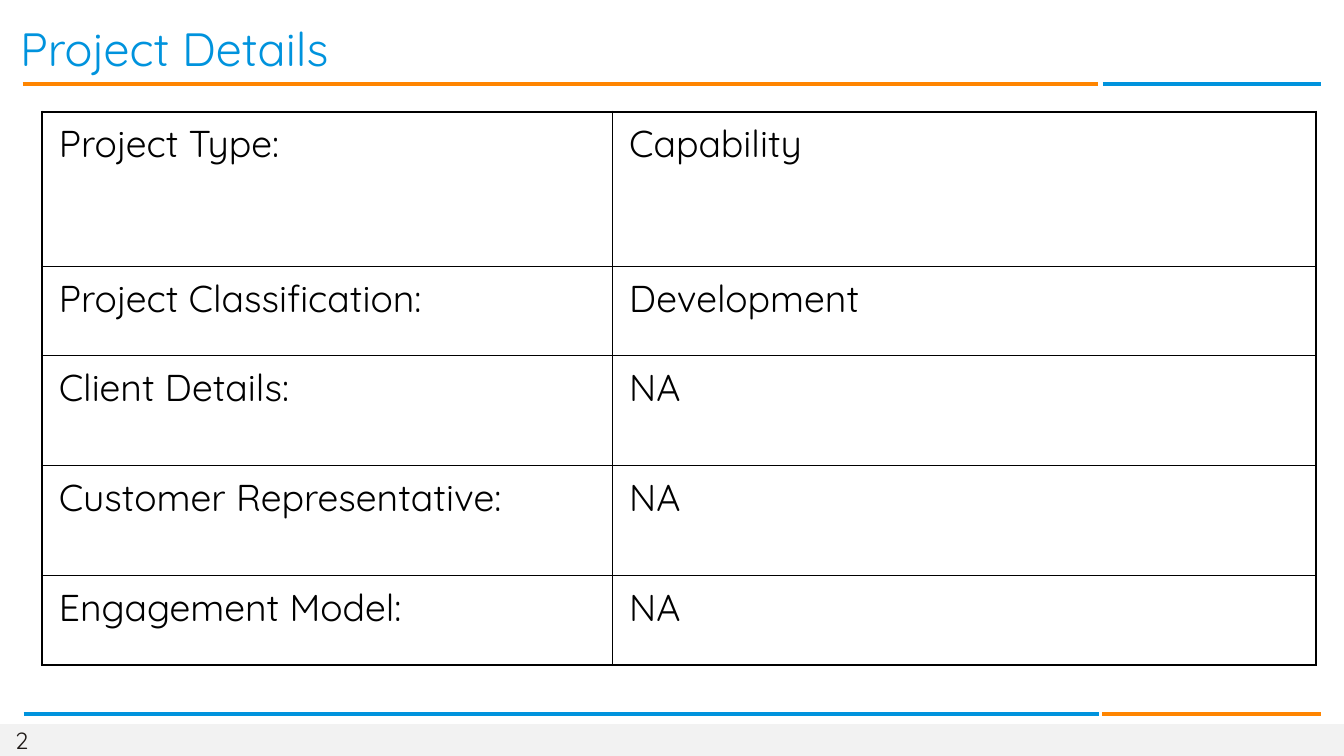
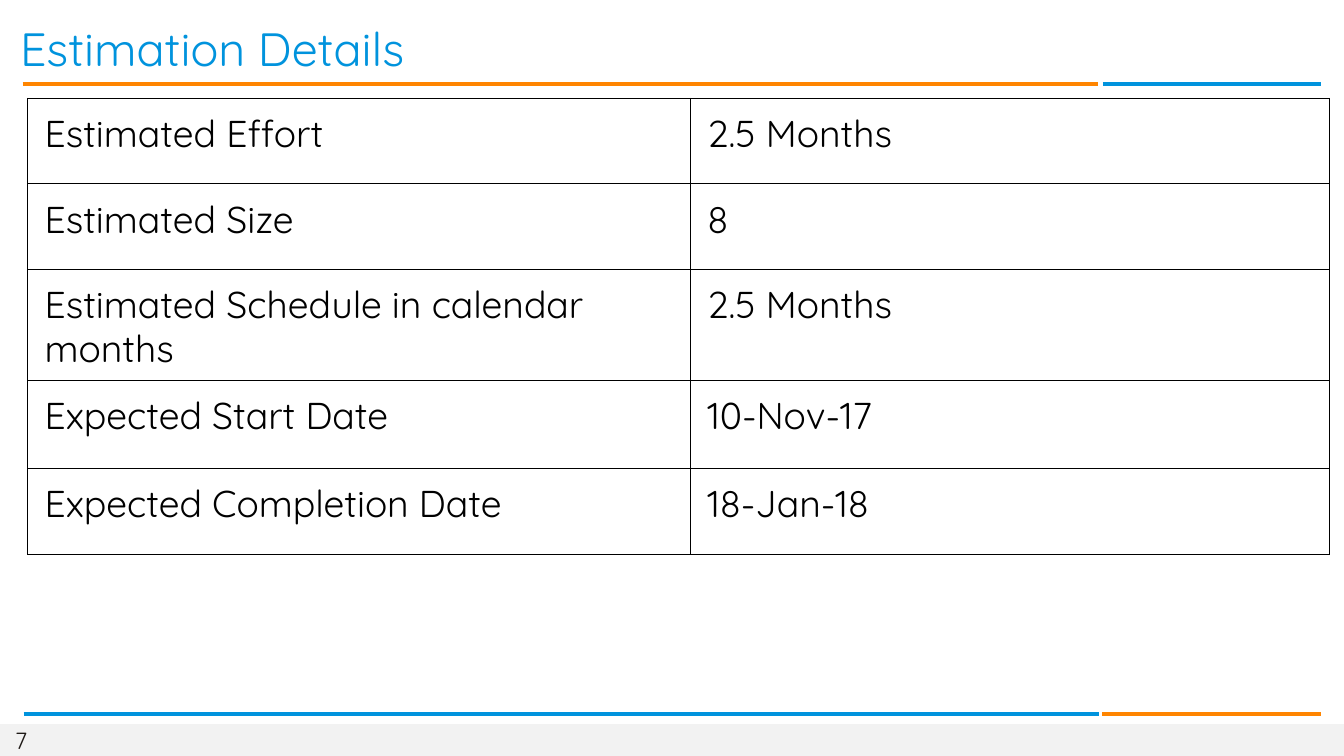
from dataclasses import dataclass
from pptx import Presentation
from pptx.dml.color import RGBColor as RGB
from pptx.enum.shapes import MSO_CONNECTOR as LINE, MSO_SHAPE as SHAPE
from pptx.enum.text import MSO_ANCHOR as ANCHOR
from pptx.oxml import parse_xml
from pptx.oxml.ns import nsdecls
from pptx.util import Pt


@dataclass(frozen=True)
class Theme:
    font: str = "Quicksand"
    blue: str = "0093DD"
    orange: str = "FF8500"
    grey: str = "F2F2F2"
    ink: str = "1F1A17"
    black: str = "000000"
    title: float = 40
    body: float = 32
    small: float = 20
    rule: float = 3


T = Theme()
WIDE, HIGH = 1152, 648


def pts(*nums):
    return [Pt(n) for n in nums]


def style(frame, size, color):
    for para in frame.paragraphs:
        for run in para.runs:
            run.font.name = T.font
            run.font.size = Pt(size)
            run.font.color.rgb = RGB.from_string(color)


def margins(item, left, top, right, bottom):
    item.margin_left, item.margin_top = pts(left, top)
    item.margin_right, item.margin_bottom = pts(right, bottom)


def label(slide, box, text, size, color, inset=(0, 0, 0, 0), wrap=True):
    frame = slide.shapes.add_textbox(*pts(*box)).text_frame
    frame.word_wrap = wrap
    frame.vertical_anchor = ANCHOR.MIDDLE
    margins(frame, *inset)
    frame.text = text
    style(frame, size, color)


# A long and a short line with a small gap between them
def rule(slide, left, top, gap, colors):
    for color, width in zip(colors, (921.6, 187.2)):
        line = slide.shapes.add_connector(
            LINE.STRAIGHT, *pts(left, top, left + width, top))
        line.line.color.rgb = RGB.from_string(color)
        line.line.width = Pt(T.rule)
        line._element.spPr.append(
            parse_xml(f"<a:effectLst {nsdecls('a')}/>"))
        left += width + gap


# Footer band with the page number
def footer(slide, box, page):
    left, top, width, height = box
    band = slide.shapes.add_shape(SHAPE.RECTANGLE, *pts(*box))
    band.shadow.inherit = False
    band.fill.solid()
    band.fill.fore_color.rgb = RGB.from_string(T.grey)
    band.line.fill.background()
    label(slide, (left + 13, top + 1.5, 24.5, 24.5), page,
          T.small, T.ink, wrap=False)


# Title, rules and footer that every slide has
def frame(deck, title, page):
    slide = deck.slides.add_slide(deck.slide_layouts[6])
    footer(slide, (0, 620.6, WIDE, HIGH - 620.6), page)
    rule(slide, 19.4, 72, 4.3, (T.orange, T.blue))
    rule(slide, 20.2, 612, 2.9, (T.blue, T.orange))
    label(slide, (12.2, 15.8, 1032, 50.4), title, T.title, T.blue,
          inset=(5, 3, 5, 3))
    return slide


def border(cell, sides):
    props = cell._tc.get_or_add_tcPr()
    for spot, (side, width) in enumerate(sides.items()):
        props.insert(spot, parse_xml(
            f'<a:ln{side} {nsdecls("a")} w="{Pt(width)}"><a:solidFill>'
            f'<a:srgbClr val="{T.black}"/></a:solidFill></a:ln{side}>'))


# Two-column table; outer and inner are border widths
def grid(slide, spot, cols, rows, data, inset, outer, inner, space=None):
    shape = slide.shapes.add_table(
        len(rows), len(cols), *pts(*spot, sum(cols), sum(rows)))
    table = shape.table
    table.first_row = table.horz_banding = False
    for col, width in zip(table.columns, cols):
        col.width = Pt(width)
    for row, height in zip(table.rows, rows):
        row.height = Pt(height)
    end, last = len(rows) - 1, len(cols) - 1
    for r, line in enumerate(data):
        for c, text in enumerate(line):
            cell = table.cell(r, c)
            cell.fill.background()
            margins(cell, *inset)
            cell.text = text
            style(cell.text_frame, T.body, T.black)
            if space:
                cell.text_frame.paragraphs[0].line_spacing = space
            edges = {"L": c == 0, "R": c == last, "T": r == 0, "B": r == end}
            border(cell, {side: outer if edge else inner
                          for side, edge in edges.items()})


def project(deck):
    slide = frame(deck, "Project Details", "2")
    data = [("Project Type:", "Capability"),
            ("Project Classification:", "Development"),
            ("Client Details:", "NA"),
            ("Customer Representative:", "NA"),
            ("Engagement Model:", "NA")]
    grid(slide, (36, 95.8), (488.9, 603.4), (132.5, 76.6, 94.2, 94.2, 76.6),
         data, (14.4, 7.2, 14.4, 7.2), outer=2.25, inner=1)


def estimate(deck):
    slide = frame(deck, "Estimation Details", "7")
    data = [("Estimated Effort", "2.5 Months"),
            ("Estimated Size", "8"),
            ("Estimated Schedule in calendar months", "2.5 Months"),
            ("Expected Start Date", "10-Nov-17"),
            ("Expected Completion Date", "18-Jan-18")]
    grid(slide, (23.8, 84.2), (568.1, 548), (73.4, 73.4, 95, 75.6, 73.4),
         data, (14.4, 12.2, 14.4, 7.2), outer=0.74, inner=0.74, space=0.94)


deck = Presentation()
deck.slide_width, deck.slide_height = pts(WIDE, HIGH)
project(deck)
estimate(deck)
deck.save("out.pptx")
